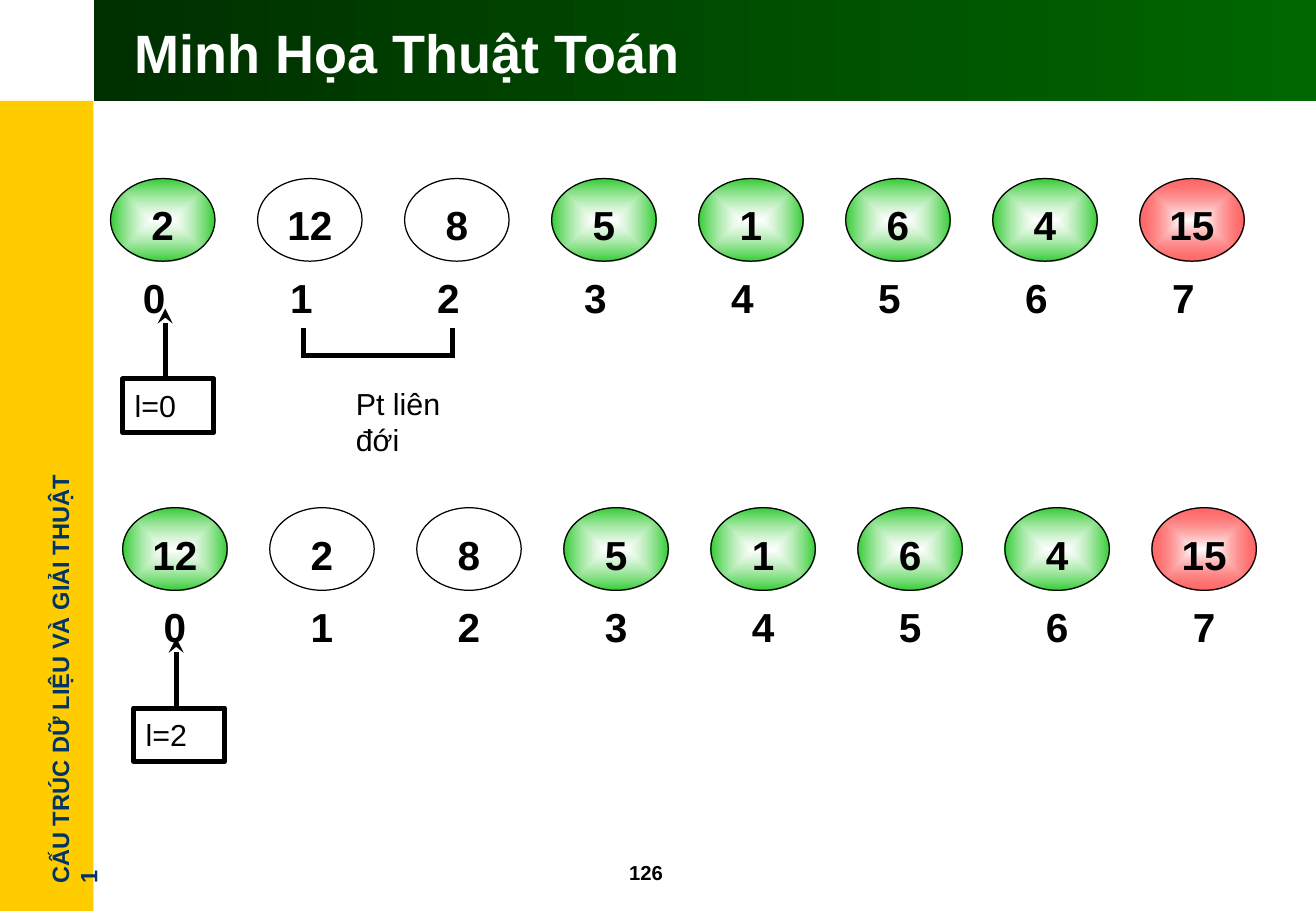
from dataclasses import dataclass

from lxml import etree
from pptx import Presentation
from pptx import util as u
from pptx.dml.color import RGBColor
from pptx.enum import shapes, text
from pptx.oxml import parse_xml
from pptx.oxml.ns import nsdecls, qn

Inches = u.Inches


@dataclass(frozen=True)
class Theme:
    font: str = "Arial"
    black: str = "000000"
    white: str = "FFFFFF"
    yellow: str = "FFCC00"
    navy: str = "003366"
    header_dark: str = "002F00"
    header_light: str = "006600"
    green: str = "33CC33"
    red: str = "FF0000"
    title_size: int = 32
    value_size: int = 24
    label_size: int = 18
    sidebar_size: int = 14
    number_size: int = 12
    thin: float = 0.75
    thick: float = 3


THEME = Theme()
PITCH = 1.21
ELLIPSE = shapes.MSO_SHAPE.OVAL
RECTANGLE = shapes.MSO_SHAPE.RECTANGLE

# Each fill is a list of (colour, opacity in percent), from centre to rim.
PLAIN = [(THEME.white, 60)]
GREEN = [(THEME.white, 60), (THEME.green, 100)]
RED = [(THEME.white, 100), (THEME.red, 60)]
CELL_FILLS = [GREEN, PLAIN, PLAIN, GREEN, GREEN, GREEN, GREEN, RED]


def colour_xml(colour, opacity):
    return (f'<a:srgbClr val="{colour}">'
            f'<a:alpha val="{opacity * 1000}"/></a:srgbClr>')


def set_fill(shape, stops, direction='<a:lin ang="0" scaled="1"/>'):
    """Fill with one colour, or with a gradient along the given direction."""
    if len(stops) == 1:
        content = f'<a:solidFill {nsdecls("a")}>{colour_xml(*stops[0])}</a:solidFill>'
    else:
        listing = "".join(
            f'<a:gs pos="{index * 100000}">{colour_xml(*stop)}</a:gs>'
            for index, stop in enumerate(stops))
        content = (f'<a:gradFill rotWithShape="1" {nsdecls("a")}>'
                   f"<a:gsLst>{listing}</a:gsLst>{direction}</a:gradFill>")
    geometry = shape.element.spPr.find(qn("a:prstGeom"))
    geometry.addnext(parse_xml(content))


def set_line(shape, width):
    shape.line.color.rgb = RGBColor.from_string(THEME.black)
    shape.line.width = u.Pt(width)


def set_text(shape, words, size, colour=THEME.black, bold=False,
             align=text.PP_ALIGN.LEFT, anchor=text.MSO_ANCHOR.MIDDLE):
    frame = shape.text_frame
    frame.text = words
    frame.word_wrap = True
    frame.vertical_anchor = anchor
    paragraph = frame.paragraphs[0]
    paragraph.alignment = align
    font = paragraph.runs[0].font
    font.name = THEME.font
    font.size = u.Pt(size)
    font.bold = bold
    font.color.rgb = RGBColor.from_string(colour)


def add_plain_shape(slide, kind, left, top, width, height):
    """Add a preset shape without shadow or outline."""
    shape = slide.shapes.add_shape(
        kind, Inches(left), Inches(top), Inches(width), Inches(height))
    shape.shadow.inherit = False
    shape.line.fill.background()
    return shape


def add_label(slide, words, left, top, width, height, size, **style):
    box = slide.shapes.add_textbox(
        Inches(left), Inches(top), Inches(width), Inches(height))
    set_text(box, words, size, anchor=text.MSO_ANCHOR.TOP, **style)
    return box


def add_frame(slide):
    """Draw the yellow sidebar, green header and page number."""
    sidebar = add_plain_shape(slide, RECTANGLE, 0, 0.83, 0.77, 6.67)
    set_fill(sidebar, [(THEME.yellow, 100)])
    course = add_label(slide, "CẤU TRÚC DỮ LIỆU VÀ GIẢI THUẬT 1",
                       -1.37, 5.35, 3.72, 0.33, THEME.sidebar_size,
                       colour=THEME.navy, bold=True)
    course.rotation = 270
    course.text_frame.margin_right = Inches(0.15)
    header = add_plain_shape(slide, RECTANGLE, 0.77, 0, 10.06, 0.83)
    set_fill(header, [(THEME.header_dark, 100), (THEME.header_light, 100)])
    add_label(slide, "126", 5.08, 7.03, 0.83, 0.3, THEME.number_size, bold=True)


def place_title(slide, words):
    title = slide.shapes.title
    title.left, title.top = Inches(1.01), Inches(0.09)
    title.width, title.height = Inches(9.61), Inches(0.67)
    set_text(title, words, THEME.title_size, colour=THEME.white, bold=True)
    title.element.getparent().append(title.element)  # in front of the header


def add_ellipse_text(slide, words, left, top, height, drop):
    """Add an ellipse whose centred text sits lower by half of drop."""
    ellipse = add_plain_shape(slide, ELLIPSE, left, top, 0.86, height)
    ellipse.fill.background()
    set_text(ellipse, words, THEME.value_size, bold=True,
             align=text.PP_ALIGN.CENTER)
    frame = ellipse.text_frame
    frame.word_wrap = False
    frame.margin_left = frame.margin_right = frame.margin_bottom = 0
    frame.margin_top = Inches(drop)
    return ellipse


def add_array(slide, values, left, index_left, top):
    """Draw the value ellipses with their indices below."""
    radial = ('<a:path path="shape"><a:fillToRect l="50000" t="50000" '
              'r="50000" b="50000"/></a:path>')
    for index, (value, stops) in enumerate(zip(values, CELL_FILLS)):
        offset = index * PITCH
        cell = add_ellipse_text(slide, str(value), left + offset, top, 0.68, 0.08)
        cell.element.spPr.remove(cell.element.spPr.find(qn("a:noFill")))
        set_fill(cell, stops, radial)
        set_line(cell, THEME.thin)
        add_ellipse_text(slide, str(index), index_left + offset, top + 0.59,
                         0.66, 0.11)


def add_marker(slide, words, left, row_top):
    """Draw a boxed index variable with an arrow up to its array position."""
    top = row_top + 1.65
    box = add_plain_shape(slide, RECTANGLE, left, top, 0.75, 0.44)
    box.fill.background()
    set_line(box, THEME.thick)
    set_text(box, words, THEME.label_size)
    arrow = slide.shapes.add_connector(
        shapes.MSO_CONNECTOR.STRAIGHT, Inches(left + 0.35), Inches(top),
        Inches(left + 0.35), Inches(row_top + 1.07))
    set_line(arrow, THEME.thick)
    etree.SubElement(arrow.line._get_or_add_ln(), qn("a:tailEnd"), type="stealth")
    etree.SubElement(arrow.element.spPr, qn("a:effectLst"))


def add_bracket(slide, left, right, top, bottom):
    builder = slide.shapes.build_freeform(Inches(left), Inches(top))
    corners = [(left, bottom), (right, bottom), (right, top)]
    builder.add_line_segments(
        [(Inches(x), Inches(y)) for x, y in corners], close=False)
    bracket = builder.convert_to_shape()
    bracket.shadow.inherit = False
    bracket.fill.background()
    set_line(bracket, THEME.thick)
    etree.SubElement(bracket.line._get_or_add_ln(), qn("a:miter"), lim="800000")


def main():
    presentation = Presentation()
    presentation.slide_width = Inches(10.83)
    presentation.slide_height = Inches(7.5)
    slide = presentation.slides.add_slide(presentation.slide_layouts[5])
    add_frame(slide)
    place_title(slide, "Minh Họa Thuật Toán")

    add_array(slide, [2, 12, 8, 5, 1, 6, 4, 15], 0.91, 0.84, 1.47)
    add_marker(slide, "l=0", 1.01, 1.47)
    add_bracket(slide, 2.5, 3.72, 2.7, 2.93)
    add_label(slide, "Pt liên đới", 2.83, 3.12, 0.92, 0.7, THEME.label_size)

    add_array(slide, [12, 2, 8, 5, 1, 6, 4, 15], 1.01, 1.01, 4.18)
    add_marker(slide, "l=2", 1.1, 4.18)
    presentation.save("out.pptx")


if __name__ == "__main__":
    main()
